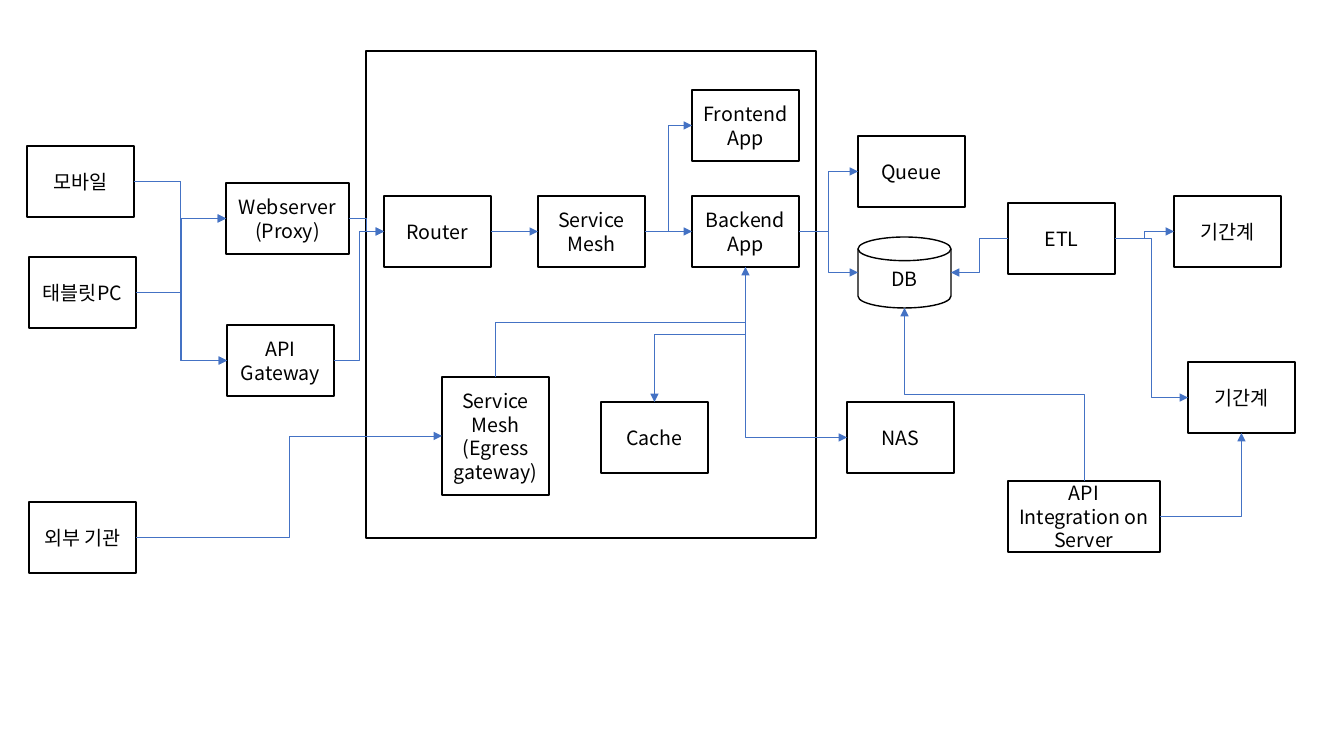
import pptx
import pptx.util
import pptx.dml.color
import pptx.enum.shapes
import pptx.enum.text
import pptx.oxml
import pptx.oxml.ns
import lxml.etree

SCALE = 914400 / 100.8  # EMU per px
FONT = "Noto Sans CJK KR"
BLACK = pptx.dml.color.RGBColor(0x00, 0x00, 0x00)
BLUE = pptx.dml.color.RGBColor(0x44, 0x72, 0xC4)
TOP, LEFT, BOTTOM, RIGHT = range(4)
BOX_WIDTH, BOX_HEIGHT = 107, 71
RECTANGLE = pptx.enum.shapes.MSO_SHAPE.RECTANGLE
DISK = pptx.enum.shapes.MSO_SHAPE.FLOWCHART_MAGNETIC_DISK
STRAIGHT = pptx.enum.shapes.MSO_CONNECTOR.STRAIGHT
ELBOW = pptx.enum.shapes.MSO_CONNECTOR.ELBOW


def px(length):
    return pptx.util.Emu(round(length * SCALE))


def add_outline(kind, left, top, width, height):
    shape = slide.shapes.add_shape(kind, px(left), px(top), px(width), px(height))
    shape.shadow.inherit = False
    shape.fill.background()
    shape.line.color.rgb = BLACK
    shape.line.width = pptx.util.Pt(1)
    return shape


presentation = pptx.Presentation()
presentation.slide_width = px(1344)
presentation.slide_height = px(756)
slide = presentation.slides.add_slide(presentation.slide_layouts[6])

# Platform frame
add_outline(RECTANGLE, 366, 51, 450, 487)

# Systems: name, text, left, top, then width and height where they differ
systems = [
    ("mobile", "모바일", 27, 146),
    ("tablet", "태블릿PC", 29, 257),
    ("partner", "외부 기관", 29, 502),
    ("webserver", "Webserver\n(Proxy)", 226, 183, 123),
    ("gateway", "API Gateway", 227, 325),
    ("router", "Router", 384, 196),
    ("mesh", "Service Mesh", 538, 196),
    ("egress", "Service Mesh\n(Egress gateway)", 442, 377, BOX_WIDTH, 118),
    ("frontend", "Frontend\nApp", 692, 90),
    ("backend", "Backend App", 692, 196),
    ("cache", "Cache", 601, 402),
    ("queue", "Queue", 858, 136),
    ("database", "DB", 858, 237, 93),
    ("nas", "NAS", 847, 402),
    ("etl", "ETL", 1008, 203),
    ("integration", "API Integration on Server", 1008, 481, 152),
    ("core_upper", "기간계", 1174, 196),
    ("core_lower", "기간계", 1188, 362),
]
text_format = {"size": pptx.util.Pt(14), "name": FONT}
boxes = {}
for name, text, left, top, *size in systems:
    width, height = size + [BOX_WIDTH, BOX_HEIGHT][len(size):]
    kind = DISK if name == "database" else RECTANGLE
    boxes[name] = add_outline(kind, left, top, width, height)
    frame = boxes[name].text_frame
    frame.text = text
    frame.word_wrap = True
    frame.vertical_anchor = pptx.enum.text.MSO_ANCHOR.MIDDLE
    for paragraph in frame.paragraphs:
        paragraph.alignment = pptx.enum.text.PP_ALIGN.CENTER
        for run in paragraph.runs:
            for key, value in text_format.items():
                setattr(run.font, key, value)
            run.font.color.rgb = BLACK
            lxml.etree.SubElement(
                run._r.get_or_add_rPr(), pptx.oxml.ns.qn("a:ea"), typeface=FONT
            )

# Flows: source, side it leaves, target, side it enters
flows = [
    ("mobile", RIGHT, "webserver", LEFT),
    ("tablet", RIGHT, "webserver", LEFT),
    ("mobile", RIGHT, "gateway", LEFT),
    ("tablet", RIGHT, "gateway", LEFT),
    ("webserver", RIGHT, "router", LEFT),
    ("gateway", RIGHT, "router", LEFT),
    ("router", RIGHT, "mesh", LEFT),
    ("mesh", RIGHT, "backend", LEFT),
    ("mesh", RIGHT, "frontend", LEFT),
    ("backend", BOTTOM, "cache", TOP),
    ("backend", RIGHT, "queue", LEFT),
    ("backend", RIGHT, "database", LEFT),
    ("backend", BOTTOM, "nas", LEFT),
    ("etl", LEFT, "database", RIGHT),
    ("integration", TOP, "database", BOTTOM),
    ("integration", RIGHT, "core_lower", BOTTOM),
    ("etl", RIGHT, "core_upper", LEFT),
    ("etl", RIGHT, "core_lower", LEFT),
    ("partner", RIGHT, "egress", LEFT),
    ("egress", TOP, "backend", BOTTOM),
]
for source, exit_side, target, entry_side in flows:
    level = boxes[source].top == boxes[target].top
    connector = slide.shapes.add_connector(STRAIGHT if level else ELBOW, 0, 0, 0, 0)
    connector.begin_connect(boxes[source], exit_side)
    connector.end_connect(boxes[target], entry_side)
    connector.line.color.rgb = BLUE
    connector.line.width = pptx.util.Pt(0.5)
    properties = connector.element.spPr

    # The disk numbers its sides from 1, after a site at its centre
    if target == "database":
        connector.element.nvCxnSpPr.cNvCxnSpPr.endCxn.idx = entry_side + 1

    # One bend where the flow turns from horizontal to vertical or back
    if exit_side % 2 != entry_side % 2:
        properties.find(pptx.oxml.ns.qn("a:prstGeom")).set("prst", "bentConnector2")

    # A flow that leaves vertically is a turned elbow about the same centre
    if exit_side in (TOP, BOTTOM):
        across = connector.end_x - connector.begin_x
        down = connector.end_y - connector.begin_y
        center_x = (connector.begin_x + connector.end_x) // 2
        center_y = (connector.begin_y + connector.end_y) // 2
        connector.width, connector.height = abs(down), abs(across)
        connector.left = center_x - abs(down) // 2
        connector.top = center_y - abs(across) // 2
        transform = properties.find(pptx.oxml.ns.qn("a:xfrm"))
        transform.rot = 90 if down > 0 else 270
        transform.flipH = False
        transform.flipV = (across > 0) == (down > 0)

    # Arrowhead, no shadow
    line = properties.get_or_add_ln()
    lxml.etree.SubElement(line, pptx.oxml.ns.qn("a:tailEnd"), type="triangle")
    lxml.etree.SubElement(properties, pptx.oxml.ns.qn("a:effectLst"))

presentation.save("out.pptx")
